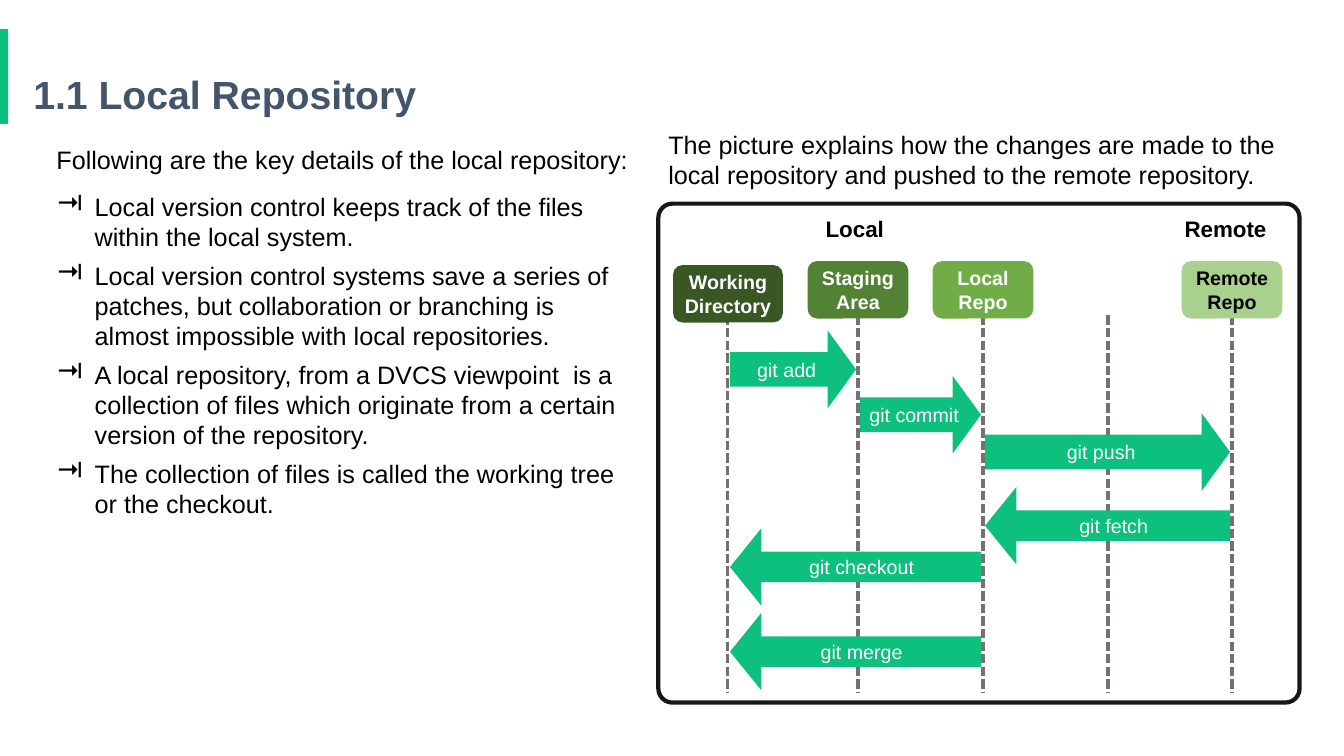
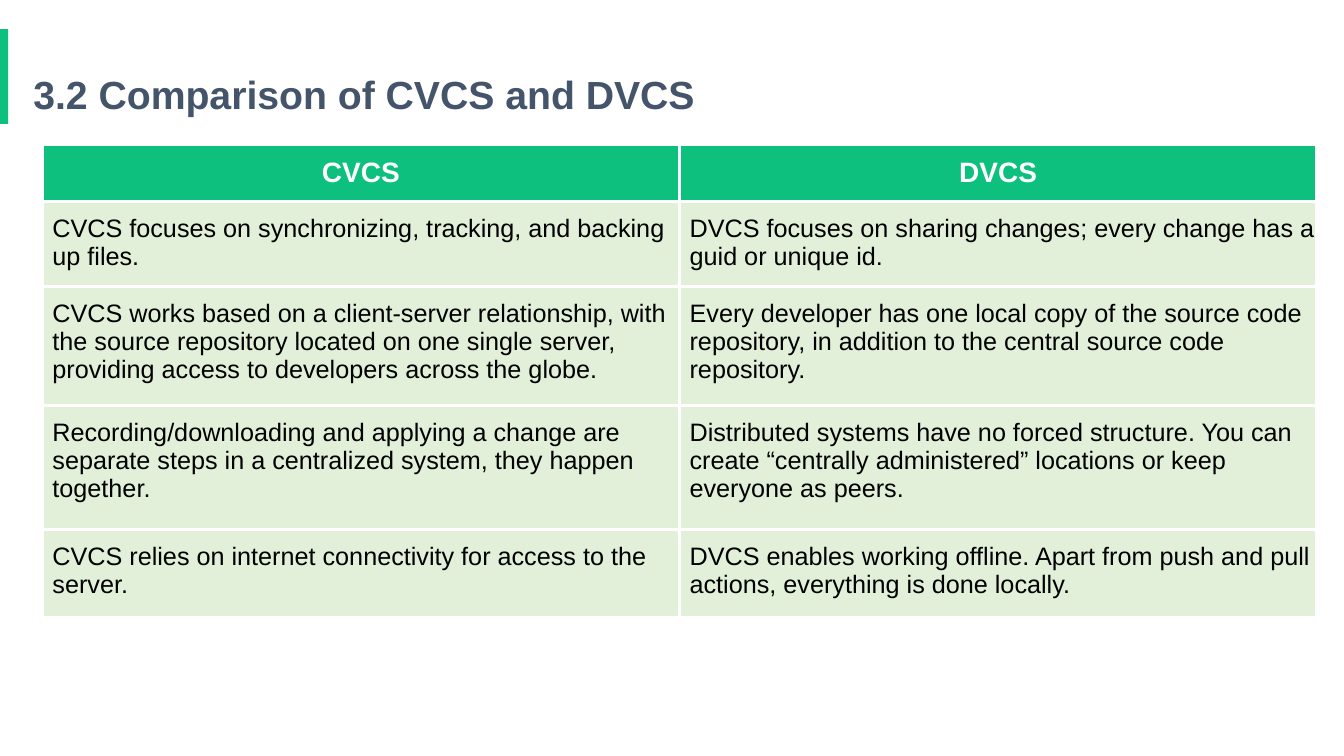
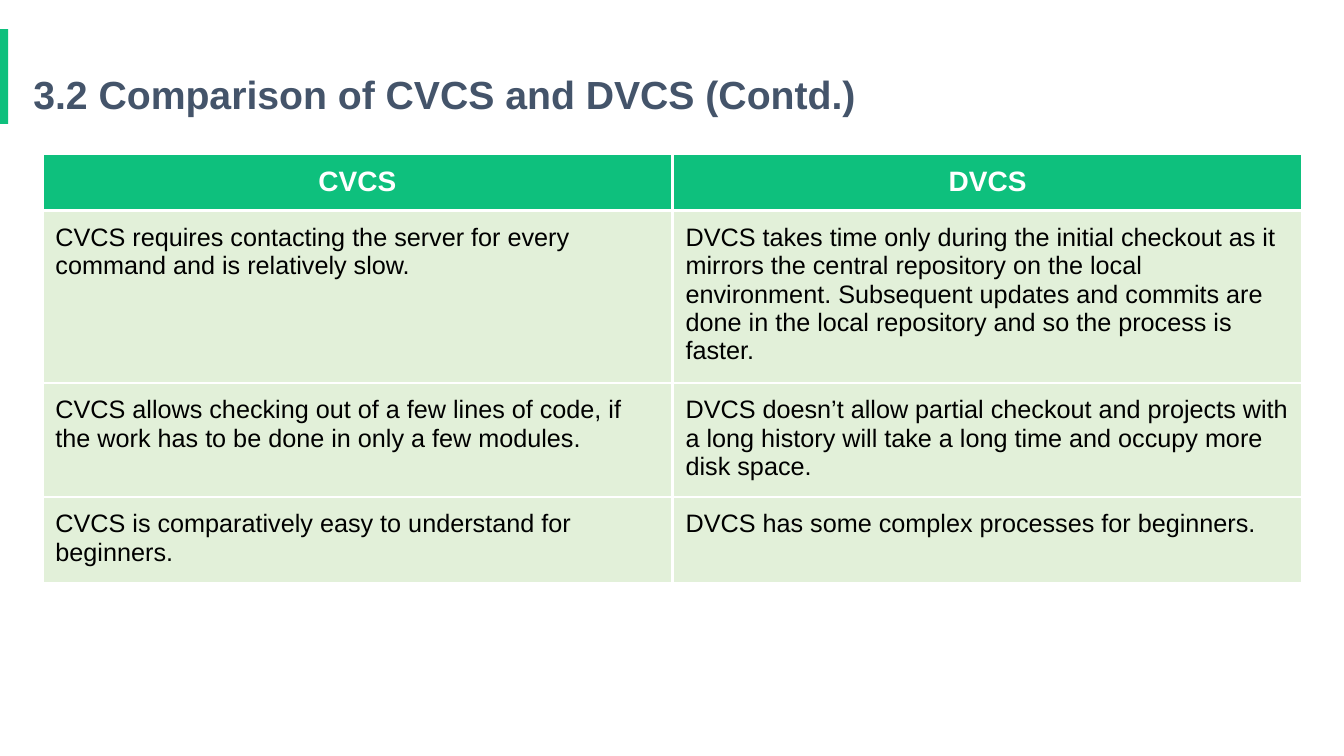
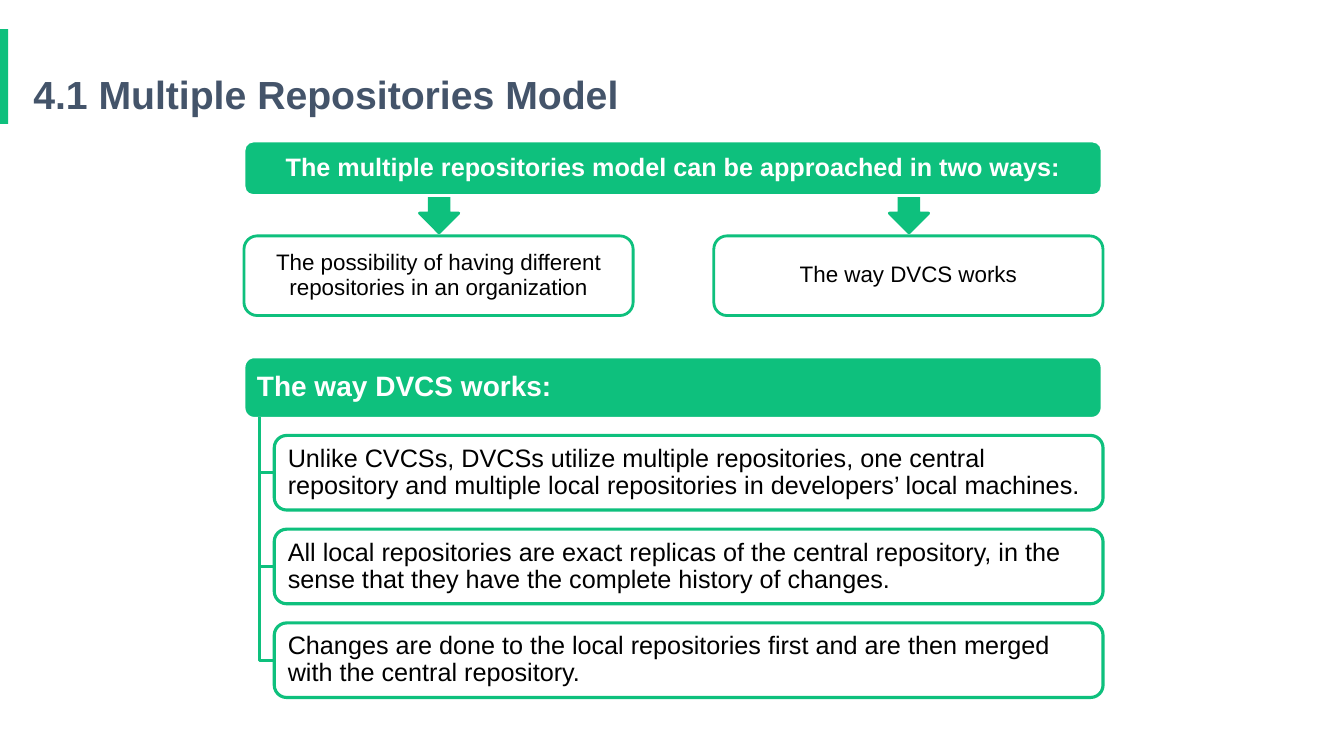
from lxml.etree import SubElement
from pptx import Presentation
from pptx.dml.color import RGBColor
from pptx.enum.dml import MSO_LINE_DASH_STYLE as Dash
from pptx.enum.shapes import MSO_CONNECTOR as Connector
from pptx.enum.shapes import MSO_SHAPE as Shape
from pptx.enum.text import MSO_ANCHOR as Anchor
from pptx.enum.text import PP_ALIGN as Align
from pptx.oxml.ns import qn
from pptx.util import Inches, Pt

COLORS = {
    "green": "0EC07D", "title": "44546A", "black": "000000", "white": "FFFFFF",
    "frame": "181717", "lane": "767171", "row": "E2F0D9",
    "working": "385723", "staging": "548235", "local": "70AD47", "remote": "A9D18E",
}


def rgb(name):
    return RGBColor.from_string(COLORS[name])


class Deck:
    font = "Arial"

    def __init__(self):
        self.deck = Presentation()
        self.deck.slide_width, self.deck.slide_height = Inches(13.33), Inches(7.5)
        self.page = None

    def new_page(self, title):
        """Start a slide with the green side band and a title."""
        self.page = self.deck.slides.add_slide(self.deck.slide_layouts[5])
        self.shape(Shape.RECTANGLE, (0, 0.29, 0.08, 0.94), "green")
        holder = self.page.shapes.title
        holder.left, holder.top, holder.width, holder.height = map(
            Inches, (0.23, 0.69, 11.5, 0.54))
        self.set_text(holder.text_frame, title, 28, "title", bold=True, spacing=0.9)

    def set_text(self, frame, text, size=18, color="black", bold=False, align=Align.LEFT,
                 anchor=Anchor.MIDDLE, spacing=None, insets=(0.1, 0.05, 0.1, 0.05),
                 wrap=True):
        frame.word_wrap = wrap
        frame.vertical_anchor = anchor
        (frame.margin_left, frame.margin_top,
         frame.margin_right, frame.margin_bottom) = map(Inches, insets)
        self.add_run(frame.paragraphs[0], text, size, color, bold, align, spacing)

    def add_run(self, para, text, size=18, color="black", bold=False,
                align=Align.LEFT, spacing=None):
        para.alignment = align
        if spacing:
            para.line_spacing = spacing
        span = para.add_run()
        span.text = text
        span.font.name, span.font.size, span.font.bold = self.font, Pt(size), bold
        span.font.color.rgb = rgb(color)

    def shape(self, kind, place, fill, line=None, width=2, adjust=()):
        box = self.page.shapes.add_shape(kind, *map(Inches, place))
        box.shadow.inherit = False
        box.fill.solid()
        box.fill.fore_color.rgb = rgb(fill)
        self.outline(box, line, width)
        for index, value in enumerate(adjust):
            box.adjustments[index] = value
        return box

    def outline(self, box, color, width):
        if color:
            box.line.color.rgb = rgb(color)
            box.line.width = Pt(width)
        else:
            box.line.fill.background()

    def text(self, place, text, **style):
        box = self.page.shapes.add_textbox(*map(Inches, place))
        self.set_text(box.text_frame, text, anchor=Anchor.TOP, **style)
        return box.text_frame

    def bullet(self, frame, text):
        para = frame.add_paragraph()
        para.space_before = Pt(6)
        self.add_run(para, text)
        props = para._p.get_or_add_pPr()
        props.set("marL", str(Inches(0.38)))
        props.set("indent", str(Inches(-0.37)))
        SubElement(props, qn("a:buChar")).set("char", "⇥")

    def lane(self, x, top, bottom):
        line = self.page.shapes.add_connector(
            Connector.STRAIGHT, *map(Inches, (x, top, x, bottom)))
        line.line.color.rgb = rgb("lane")
        line.line.width = Pt(2.25)
        line.line.dash_style = Dash.SQUARE_DOT
        SubElement(line._element.spPr, qn("a:effectLst"))

    def branch(self, x, top, right, bottom):
        """Draw an L-shaped line that goes down, then right."""
        builder = self.page.shapes.build_freeform(Inches(x), Inches(top))
        builder.add_line_segments(
            [(Inches(x), Inches(bottom)), (Inches(right), Inches(bottom))], close=False)
        line = builder.convert_to_shape()
        line.shadow.inherit = False
        line.fill.background()
        self.outline(line, "green", 2.25)

    def table(self, left, top, column, heights, rows, insets):
        grid = self.page.shapes.add_table(
            len(rows), 2, *map(Inches, (left, top, 2 * column, sum(heights)))).table
        grid.horz_banding = False
        for col in grid.columns:
            col.width = Inches(column)
        for index, (height, texts) in enumerate(zip(heights, rows)):
            grid.rows[index].height = Inches(height)
            for col, text in enumerate(texts):
                self.cell(grid.cell(index, col), text, index == 0, insets)

    def cell(self, cell, text, header, insets):
        if header:
            insets = (0.13,) * 4
        (cell.margin_left, cell.margin_top,
         cell.margin_right, cell.margin_bottom) = map(Inches, insets)
        para = cell.text_frame.paragraphs[0]
        if header:
            self.add_run(para, text, 20, "white", True, Align.CENTER)
        else:
            self.add_run(para, text)
        props = cell._tc.get_or_add_tcPr()
        for side in ("a:lnL", "a:lnR", "a:lnT", "a:lnB"):
            border = SubElement(props, qn(side), w=str(Pt(2.25)))
            fill = SubElement(border, qn("a:solidFill"))
            SubElement(fill, qn("a:srgbClr"), val=COLORS["white"])
        cell.fill.solid()
        cell.fill.fore_color.rgb = rgb("green" if header else "row")


def local_repository(deck):
    deck.new_page("1.1 Local Repository")
    frame = deck.text((0.56, 1.43, 5.8, 5.29),
                      "Following are the key details of the local repository:",
                      insets=(0, 0, 0.1, 0.05))
    frame.paragraphs[0].space_before = frame.paragraphs[0].space_after = Pt(6)
    for detail in (
        "Local version control keeps track of the files within the local system.",
        "Local version control systems save a series of patches, but collaboration or "
        "branching is almost impossible with local repositories.",
        "A local repository, from a DVCS viewpoint  is a collection of files which "
        "originate from a certain version of the repository.",
        "The collection of files is called the working tree or the checkout.",
    ):
        deck.bullet(frame, detail)

    deck.text((6.53, 1.23, 6.36, 0.73),
              "The picture explains how the changes are made to the local repository "
              "and pushed to the remote repository.")
    deck.shape(Shape.ROUNDED_RECTANGLE, (6.53, 2.02, 6.36, 4.95), "white",
               "frame", 3, [0.028])
    for left, width, label in ((8.09, 0.85, "Local"), (11.65, 1.02, "Remote")):
        deck.text((left, 2.09, width, 0.37), label, size=16, bold=True, wrap=False)

    lanes = [7.22, 8.51, 9.75, 10.99, 12.22]
    for x in lanes:
        deck.lane(x, 3.13, 6.88)
    for lane, label, top, width, fill, color in (
        (0, "Working Directory", 2.63, 1.09, "working", "white"),
        (1, "Staging Area", 2.59, 1, "staging", "white"),
        (2, "Local Repo", 2.59, 1, "local", "white"),
        (4, "Remote Repo", 2.59, 1, "remote", "black"),
    ):
        box = deck.shape(Shape.ROUNDED_RECTANGLE,
                         (lanes[lane] - width / 2, top, width, 0.57), fill)
        deck.set_text(box.text_frame, label, 14, color, True, Align.CENTER,
                      insets=(0, 0.05, 0, 0.05))

    gap = 0.02
    for label, start, end, top in (
        ("git add", 0, 1, 3.28), ("git commit", 1, 2, 3.73), ("git push", 2, 4, 4.1),
        ("git fetch", 4, 2, 4.83), ("git checkout", 2, 0, 5.24), ("git merge", 2, 0, 6.08),
    ):
        left, right = sorted((lanes[start], lanes[end]))
        if start < end:
            kind, adjust = Shape.RIGHT_ARROW, (0.446, 0.365)
        else:
            kind, adjust = Shape.LEFT_ARROW, (0.392, 0.405)
        arrow = deck.shape(kind, (left + gap, top, right - left - 2 * gap, 0.77),
                           "green", adjust=adjust)
        deck.set_text(arrow.text_frame, label, 14, "white", align=Align.CENTER,
                      insets=(0, 0, 0, 0))


def comparison(deck):
    deck.new_page("3.2 Comparison of CVCS and DVCS")
    header = ("CVCS", "DVCS")
    deck.table(0.42, 1.43, 6.32, (0.55, 0.84, 1.18, 1.23, 0.88), (
        header,
        ("CVCS focuses on synchronizing, tracking, and backing up files.",
         "DVCS focuses on sharing changes; every change has a guid or unique id."),
        ("CVCS works based on a client-server relationship, with the source repository "
         "located on one single server, providing access to developers across the globe.",
         "Every developer has one local copy of the source code repository, in addition "
         "to the central source code repository."),
        ("Recording/downloading and applying a change are separate steps in a "
         "centralized system, they happen together.",
         "Distributed systems have no forced structure. You can create “centrally "
         "administered” locations or keep everyone as peers."),
        ("CVCS relies on internet connectivity for access to the server.",
         "DVCS enables working offline. Apart from push and pull actions, everything "
         "is done locally."),
    ), (0.1, 0.13, 0, 0.13))

    deck.new_page("3.2 Comparison of CVCS and DVCS (Contd.)")
    deck.table(0.42, 1.52, 6.25, (0.51, 1.71, 1.13, 0.86), (
        header,
        ("CVCS requires contacting the server for every command and is relatively slow.",
         "DVCS takes time only during the initial checkout as it mirrors the central "
         "repository on the local environment. Subsequent updates and commits are done "
         "in the local repository and so the process is faster."),
        ("CVCS allows checking out of a few lines of code, if the work has to be done in "
         "only a few modules.",
         "DVCS doesn’t allow partial checkout and projects with a long history will take "
         "a long time and occupy more disk space."),
        ("CVCS is comparatively easy to understand for beginners.",
         "DVCS has some complex processes for beginners."),
    ), (0.13,) * 4)


def multiple_repositories(deck):
    deck.new_page("4.1 Multiple Repositories Model")

    def card(place, text, fill="white", line="green", width=2, **style):
        box = deck.shape(Shape.ROUNDED_RECTANGLE, place, fill, line, width)
        deck.set_text(box.text_frame, text, spacing=0.9, **style)

    centred = {"align": Align.CENTER, "insets": (0.04,) * 4}
    heading = {"fill": "green", "line": "white", "color": "white", "bold": True}
    left = 2.42
    for way_left, way in (
        (left, "The possibility of having different repositories in an organization"),
        (7.08, "The way DVCS works"),
    ):
        deck.shape(Shape.DOWN_ARROW, (way_left + 1.74, 1.9, 0.39, 0.41), "green", "green")
        card((way_left, 2.34, 3.86, 0.79), way, size=16, **centred)
    card((left, 1.4, 8.51, 0.54),
         "The multiple repositories model can be approached in two ways:",
         **heading, **centred)

    card((left, 3.54, 8.51, 0.61), "The way DVCS works:", size=20,
         insets=(0.1, 0.04, 0.1, 0.04), **heading)
    height, pitch = 0.74, 0.93
    for index, fact in enumerate((
        "Unlike CVCSs, DVCSs utilize multiple repositories, one central repository and "
        "multiple local repositories in developers’ local machines.",
        "All local repositories are exact replicas of the central repository, in the "
        "sense that they have the complete history of changes.",
        "Changes are done to the local repositories first and are then merged with the "
        "central repository.",
    )):
        top = 4.32 + index * pitch
        deck.branch(2.57, 4.14, 2.72, top + height / 2)
        card((2.72, top, 8.22, height), fact, width=2.25, insets=(0.1, 0.03, 0.1, 0.03))


def main():
    deck = Deck()
    local_repository(deck)
    comparison(deck)
    multiple_repositories(deck)
    deck.deck.save("out.pptx")


if __name__ == "__main__":
    main()
